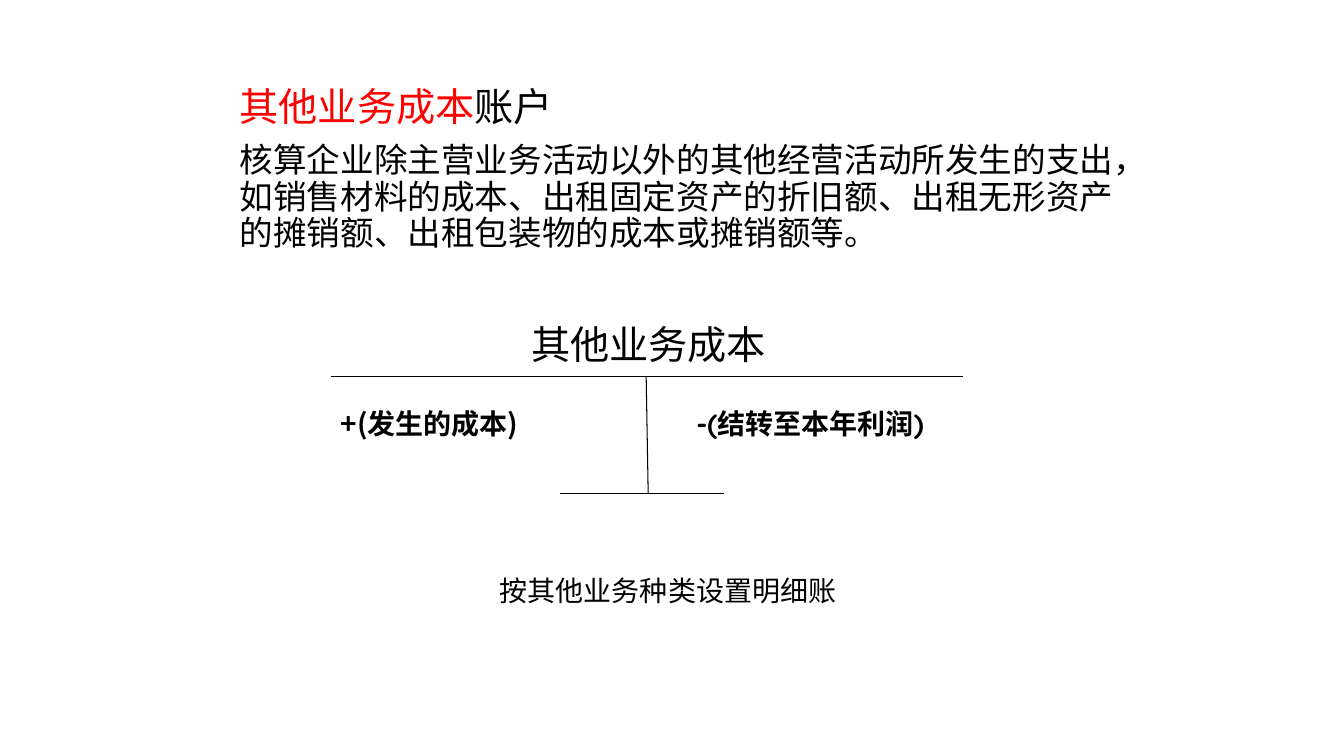
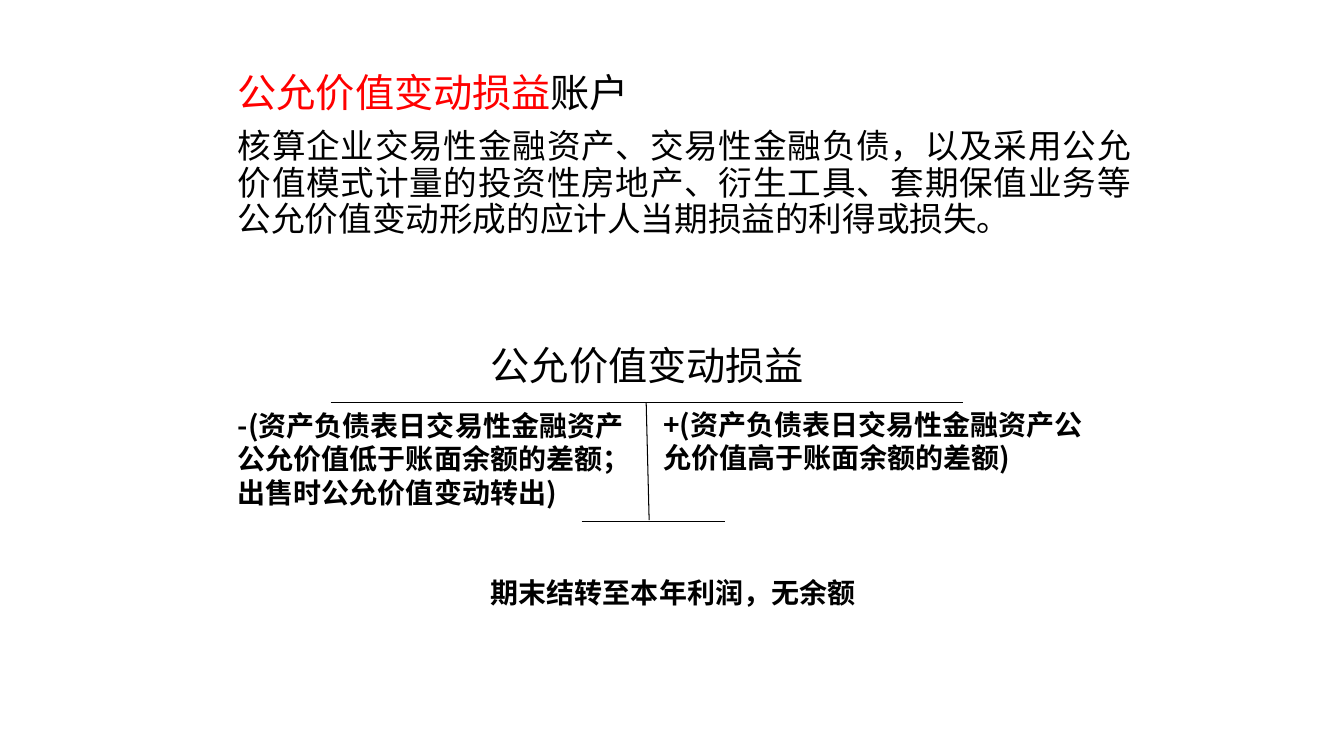
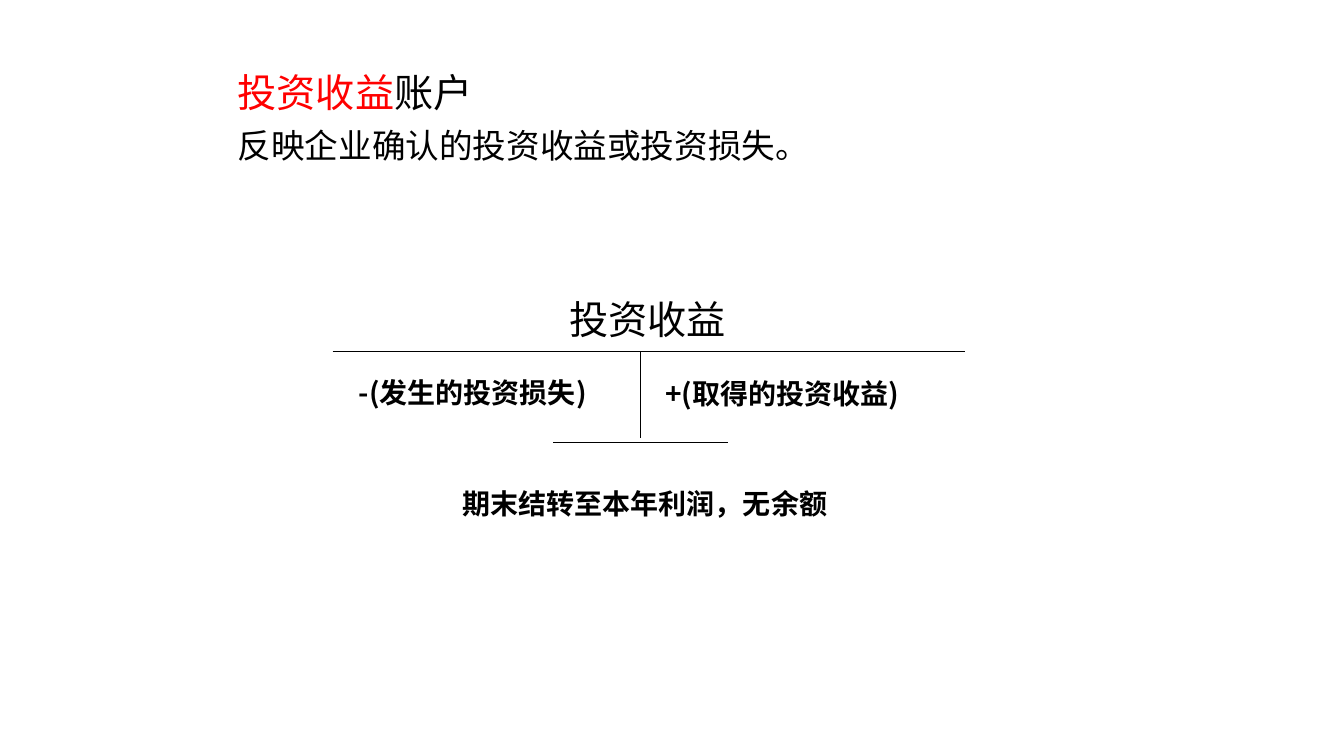
from dataclasses import dataclass
from typing import NamedTuple

from lxml import etree
from pptx import Presentation
from pptx.dml.color import RGBColor
from pptx.enum.lang import MSO_LANGUAGE_ID
from pptx.enum.shapes import MSO_CONNECTOR
from pptx.enum.text import MSO_AUTO_SIZE, PP_ALIGN
from pptx.oxml.ns import qn
from pptx.util import Inches, Pt

STRAIGHT = MSO_CONNECTOR.STRAIGHT
LEFT, JUSTIFY = PP_ALIGN.LEFT, PP_ALIGN.JUSTIFY
FIT_SHAPE, NO_FIT = MSO_AUTO_SIZE.SHAPE_TO_FIT_TEXT, MSO_AUTO_SIZE.NONE
CHINESE = MSO_LANGUAGE_ID.SIMPLIFIED_CHINESE

WIDTH, HEIGHT = Inches(13.333), Inches(7.5)
SANS, ROUND = "Noto Sans CJK SC", "Quicksand"
BLACK, RED = "000000", "FF0000"
HEADING, BODY, LABEL = 28, 24, 20
BODY_W, BODY_H = 67.95, 34.67
TITLE_H, LABEL_H = 7.6, 5.87
BAR_W = 47.03


class Run(NamedTuple):
    text: str
    size: int
    color: str = BLACK
    bold: bool = False
    font: str = SANS


class Box(NamedTuple):
    x: float
    y: float
    w: float
    h: float = LABEL_H


class Label(NamedTuple):
    text: str
    box: Box
    bold: bool = True
    font: str = SANS


class TShape(NamedTuple):
    left: float
    top: float
    stem_top: float
    stem_bottom: float
    stem_end: float
    base_left: float
    base_right: float
    base_y: float


@dataclass
class Account:
    name: str
    description: str
    align: PP_ALIGN
    body_at: tuple[float, float]
    title_box: Box
    t: TShape
    labels: list[Label]


ACCOUNTS = [
    Account(
        "其他业务成本",
        "核算企业除主营业务活动以外的其他经营活动所发生的支出，如销售材料的成本、出租固定资产的折旧额、出租无形资产的摊销额、出租包装物的成本或摊销额等。",
        LEFT, (17.1, 10.93), Box(38.78, 41.73, 23.63, TITLE_H),
        TShape(24.6, 49.8, 48.08, 48.23, 65.33, 41.7, 53.85, 65.33),
        [
            Label("+(发生的成本)", Box(24.6, 53.07, 17.85)),
            Label("-(结转至本年利润)", Box(51.08, 53.07, 28.5), font=ROUND),
            Label("按其他业务种类设置明细账", Box(36.45, 75.2, 40.65), bold=False),
        ],
    ),
    Account(
        "公允价值变动损益",
        "核算企业交易性金融资产、交易性金融负债，以及采用公允价值模式计量的投资性房地产、衍生工具、套期保值业务等公允价值变动形成的应计人当期损益的利得或损失。",
        JUSTIFY, (16.95, 9.07), Box(35.78, 44.53, 25.65, TITLE_H),
        TShape(24.6, 53.2, 48.08, 48.3, 68.8, 43.28, 53.93, 68.93),
        [
            Label("-(资产负债表日交易性金融资产公允价值低于账面余额的差额；出售时公允价值变动转出)",
                  Box(16.95, 53.33, 31.35, 14.8)),
            Label("+(资产负债表日交易性金融资产公允价值高于账面余额的差额)",
                  Box(48.6, 53.2, 33.3, 10.27)),
            Label("期末结转至本年利润，无余额", Box(35.78, 75.47, 33.23)),
        ],
    ),
    Account(
        "投资收益",
        "反映企业确认的投资收益或投资损失。",
        JUSTIFY, (16.95, 9.07), Box(41.63, 38.4, 25.65, TITLE_H),
        TShape(24.75, 46.53, 47.63, 47.63, 58, 41.18, 54.15, 58.53),
        [
            Label("-(发生的投资损失)", Box(25.95, 49.07, 31.35)),
            Label("+(取得的投资收益)", Box(48.75, 49.2, 33.3)),
            Label("期末结转至本年利润，无余额", Box(33.68, 63.73, 33.23)),
        ],
    ),
]


def rgb(value: str) -> RGBColor:
    return RGBColor.from_string(value)


def across(share: float) -> int:
    return round(WIDTH * share / 100)


def down(share: float) -> int:
    return round(HEIGHT * share / 100)


def add_run(p, run: Run) -> None:
    r = p.add_run()
    r.text = run.text
    formats = {"size": Pt(run.size), "bold": run.bold, "name": run.font, "language_id": CHINESE}
    for name, value in formats.items():
        setattr(r.font, name, value)
    r.font.color.rgb = rgb(run.color)
    latin = r.font._element.find(qn("a:latin"))
    east_asian = etree.Element(qn("a:ea"), typeface=SANS)
    latin.addnext(east_asian)


def add_text(s, box: Box, paragraphs: list[list[Run]], auto_size=FIT_SHAPE,
             **paragraph_format):
    sp = s.shapes.add_textbox(across(box.x), down(box.y), across(box.w), down(box.h))
    tf = sp.text_frame
    tf.word_wrap = True
    tf.auto_size = auto_size
    for i, runs in enumerate(paragraphs):
        p = tf.add_paragraph() if i else tf.paragraphs[0]
        for name, value in paragraph_format.items():
            setattr(p, name, value)
        for run in runs:
            add_run(p, run)
    return tf


def add_line(s, x1: float, y1: float, x2: float, y2: float) -> None:
    line = s.shapes.add_connector(STRAIGHT, across(x1), down(y1), across(x2), down(y2))
    line.line.color.rgb = rgb(BLACK)
    line.line.width = Pt(0.75)
    etree.SubElement(line._element.spPr, qn("a:effectLst"))


def add_t_shape(s, t: TShape) -> None:
    add_line(s, t.left, t.top, t.left + BAR_W, t.top)
    add_line(s, t.stem_top, t.top, t.stem_bottom, t.stem_end)
    add_line(s, t.base_left, t.base_y, t.base_right, t.base_y)


def add_account(prs, account: Account) -> None:
    s = prs.slides.add_slide(prs.slide_layouts[6])
    heading = [Run(account.name, HEADING, RED), Run("账户", HEADING)]
    tf = add_text(s, Box(*account.body_at, BODY_W, BODY_H),
                  [heading, [Run(account.description, BODY)]],
                  NO_FIT, line_spacing=0.9, space_before=Pt(10))
    tf.paragraphs[1].alignment = account.align
    add_text(s, account.title_box, [[Run(account.name, HEADING)]])
    add_t_shape(s, account.t)
    for label in account.labels:
        add_text(s, label.box, [[Run(label.text, LABEL, bold=label.bold, font=label.font)]])


def main() -> None:
    prs = Presentation()
    prs.slide_width, prs.slide_height = WIDTH, HEIGHT
    for account in ACCOUNTS:
        add_account(prs, account)
    prs.save("out.pptx")


if __name__ == "__main__":
    main()
